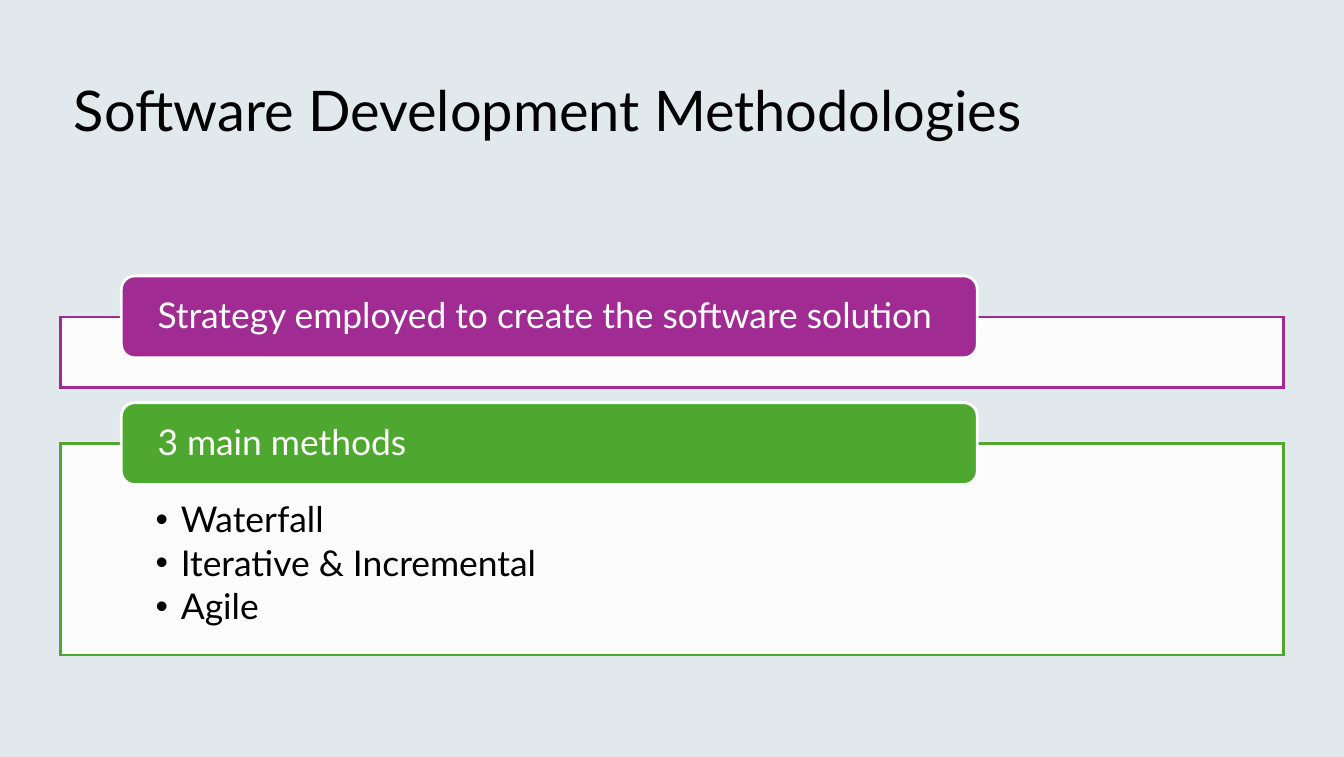
"""Build the software development methodologies slide."""
from lxml.etree import SubElement
from pptx import Presentation
from pptx.dml.color import RGBColor
from pptx.enum.shapes import MSO_SHAPE
from pptx.enum.text import MSO_ANCHOR, MSO_AUTO_SIZE, PP_ALIGN
from pptx.oxml.ns import qn
from pptx.util import Pt

BLACK = RGBColor(0x00, 0x00, 0x00)
WHITE = RGBColor(0xFF, 0xFF, 0xFF)
GREY = RGBColor(0xF2, 0xF2, 0xF2)
BLUE = RGBColor(0x0B, 0x76, 0xA0)
PURPLE = RGBColor(0xA0, 0x2B, 0x93)
GREEN = RGBColor(0x4E, 0xA7, 0x2E)

FONT = "Lato"
TITLE = "Software Development Methodologies"
PANELS = [
    ("Strategy employed to create the software solution", PURPLE, 37.7, []),
    ("3 main methods", GREEN, 113.1, ["Waterfall", "Iterative & Incremental", "Agile"]),
]
WIDE, HIGH = 720, 405.36
LEFT, SPAN = 32.4, 655.2
TAB_LEFT, TAB_SPAN, TAB_HIGH = 65, 458.6, 43.9
RISE = 22.1
TOP, GAP = 169.8, 30.2


def place(shape, left, top, wide, high):
    shape.left, shape.top = Pt(left), Pt(top)
    shape.width, shape.height = Pt(wide), Pt(high)


def draw(kind, box, fill, line=None, alpha=100):
    shape = slide.shapes.add_shape(kind, *map(Pt, box))
    shape.shadow.inherit = False
    shape.fill.solid()
    shape.fill.fore_color.rgb = fill
    if alpha < 100:
        color = shape.element.spPr.find(".//" + qn("a:srgbClr"))
        SubElement(color, qn("a:alpha"), val=str(alpha * 1000))
    if line is None:
        shape.line.fill.background()
    else:
        shape.line.color.rgb = line
        shape.line.width = Pt(1.5)
        SubElement(shape.line._ln, qn("a:miter"), lim="800000")
    return shape


def write(shape, lines, size, color, pad, anchor, after=0):
    frame = shape.text_frame
    frame.word_wrap = True
    frame.auto_size = MSO_AUTO_SIZE.NONE
    frame.vertical_anchor = anchor
    frame.margin_left, frame.margin_top, frame.margin_right, frame.margin_bottom = map(Pt, pad)
    for i, line in enumerate(lines):
        para = frame.add_paragraph() if i else frame.paragraphs[0]
        para.alignment = PP_ALIGN.LEFT
        para.line_spacing = 0.9
        para.space_before, para.space_after = Pt(0), Pt(after)
        run = para.add_run()
        run.text = line
        run.font.name, run.font.size = FONT, Pt(size)
        run.font.color.rgb = color
    return frame.paragraphs


def add_list(items, box):
    place(body, *box)
    slide.shapes.element.append(body.element)
    for para in write(body, items, 19, BLACK, (51, 31, 51, 10.8), MSO_ANCHOR.TOP, 2.85):
        props = para._p.get_or_add_pPr()
        props.set("marL", str(Pt(13.5)))
        props.set("indent", str(Pt(-13.5)))
        SubElement(props, qn("a:buChar"), char="•")


deck = Presentation()
deck.slide_width, deck.slide_height = Pt(WIDE), Pt(HIGH)
slide = deck.slides.add_slide(deck.slide_layouts[1])
title, body = slide.placeholders

for fill, alpha in [(GREY, 100), (BLUE, 7)]:
    draw(MSO_SHAPE.RECTANGLE, (0, 0, WIDE, HIGH), fill, alpha=alpha)

place(title, LEFT, 21.6, SPAN, 78.5)
slide.shapes.element.append(title.element)
write(title, [TITLE], 30, BLACK, (7.2, 3.6, 7.2, 3.6), MSO_ANCHOR.MIDDLE)

top = TOP
for label, color, high, items in PANELS:
    box = LEFT, top, SPAN, high
    draw(MSO_SHAPE.RECTANGLE, box, WHITE, color, 90)
    if items:
        add_list(items, box)
    tab = draw(MSO_SHAPE.ROUNDED_RECTANGLE,
               (TAB_LEFT, top - RISE, TAB_SPAN, TAB_HIGH), color, WHITE)
    write(tab, [label], 19, WHITE, (17.3, 0, 17.3, 0), MSO_ANCHOR.MIDDLE)
    top += high + GAP

deck.save("out.pptx")
